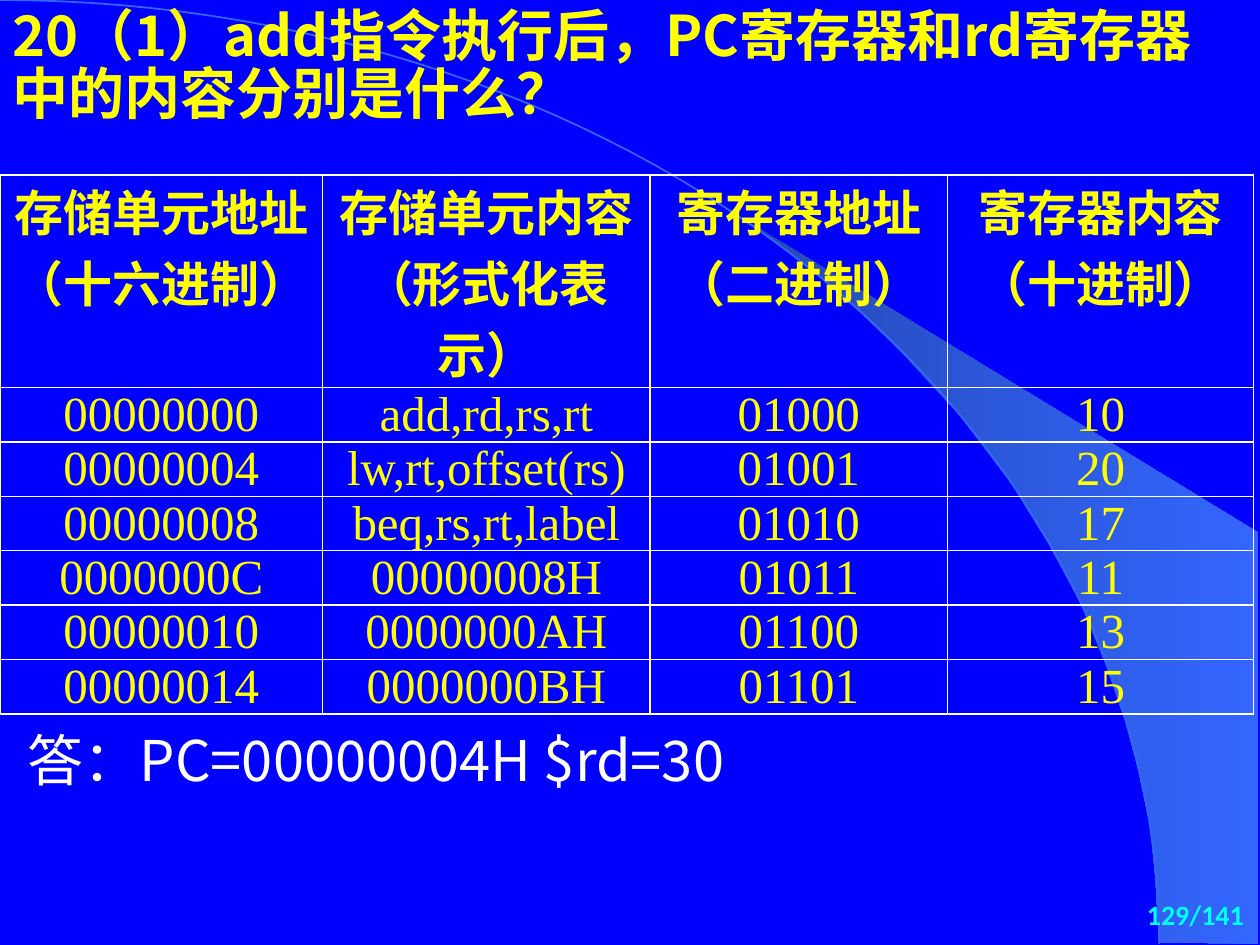
from math import sin, cos, pi
from pptx import Presentation
from pptx.util import Inches, Pt
from pptx.dml.color import RGBColor
from pptx.enum.text import PP_ALIGN as Align
from pptx.oxml import parse_xml
from pptx.oxml.ns import nsdecls

YELLOW, WHITE, CYAN = "FFFF00", "FFFFFF", "00FFFF"
BLUE, SKY, DUSK = "0000FF", "3366FF", "2449B6"
SANS, SERIF = "Noto Sans CJK SC", "Times New Roman"

WEDGE = [(9.2, 7.48), (9.99, 7.49), (9.99, 4.23), (5.89, 1.73), (6.24, 1.99),
         (6.53, 2.22), (6.85, 2.5), (7.16, 2.8), (7.62, 3.3), (8.03, 3.84),
         (8.32, 4.31), (8.58, 4.79), (8.78, 5.28), (8.93, 5.72),
         (9.03, 6.09), (9.13, 6.56), (9.17, 6.96)]
COLS = [2.56, 2.6, 2.36, 2.43]
ROWS = [
    ["存储单元地址（十六进制）", "存储单元内容（形式化表示）",
     "寄存器地址\n（二进制）", "寄存器内容\n（十进制）"],
    ["00000000", "add,rd,rs,rt", "01000", "10"],
    ["00000004", "lw,rt,offset(rs)", "01001", "20"],
    ["00000008", "beq,rs,rt,label", "01010", "17"],
    ["0000000C", "00000008H", "01011", "11"],
    ["00000010", "0000000AH", "01100", "13"],
    ["00000014", "0000000BH", "01101", "15"],
]


def color(code):
    return RGBColor.from_string(code)


def style(frame, size, face, code, bold=False, align=Align.LEFT, gap=None):
    for par in frame.paragraphs:
        par.alignment = align
        par.line_spacing = gap
        for run in par.runs:
            font = run.font
            font.size, font.name, font.bold = Pt(size), face, bold
            font.color.rgb = color(code)


def add_text(slide, box, text, *look, **more):
    frame = slide.shapes.add_textbox(*map(Inches, box)).text_frame
    frame.word_wrap = True
    frame.text = text
    style(frame, *look, **more)


def outline(slide, points, close):
    pen = slide.shapes.build_freeform(*map(Inches, points[0]), scale=1.0)
    pen.add_line_segments([(Inches(x), Inches(y)) for x, y in points[1:]],
                          close=close)
    shape = pen.convert_to_shape()
    shape.shadow.inherit = False
    return shape


def add_decor(slide, box):
    # Shaded wedge
    wedge = outline(slide, WEDGE, True)
    wedge.line.fill.background()
    wedge.fill.gradient()
    wedge.fill.gradient_angle = 0
    for stop, code, spot in zip(wedge.fill.gradient_stops, (DUSK, SKY), (0, 1)):
        stop.color.rgb = color(code)
        stop.position = spot
    # Quarter ellipse from the top left corner to the bottom right
    left, top, wide, high = box
    steps = 60
    turns = [pi / 2 * i / steps for i in range(steps + 1)]
    arc = outline(slide, [(left + wide * sin(t), top + high * (1 - cos(t)))
                          for t in turns], False)
    arc.fill.background()
    arc.line.color.rgb = color(SKY)
    arc.line.width = Pt(1)


def add_border(cell):
    props = cell._tc.get_or_add_tcPr()
    for i, side in enumerate(("lnL", "lnR", "lnT", "lnB")):
        props.insert(i, parse_xml(
            f'<a:{side} {nsdecls("a")} w="12700"><a:solidFill>'
            f'<a:srgbClr val="{WHITE}"/></a:solidFill></a:{side}>'))


def add_grid(slide, box, head=1.68):
    left, top, wide, high = box
    table = slide.shapes.add_table(len(ROWS), len(COLS),
                                   *map(Inches, box)).table
    table.first_row = table.horz_banding = False
    for col, size in zip(table.columns, COLS):
        col.width = Inches(size)
    for r, row in enumerate(ROWS):
        size = (high - head) / (len(ROWS) - 1) if r else head
        table.rows[r].height = Inches(size)
        for c, text in enumerate(row):
            cell = table.cell(r, c)
            cell.text = text
            cell.margin_left = cell.margin_right = Inches(0.07)
            cell.margin_top = cell.margin_bottom = 0
            cell.fill.background()
            add_border(cell)
            style(cell.text_frame, 28, SERIF, YELLOW, r == 0, Align.CENTER)


def main():
    deck = Presentation()
    deck.slide_width, deck.slide_height = Inches(10), Inches(7.5)
    slide = deck.slides.add_slide(deck.slide_layouts[6])
    back = slide.background.fill
    back.solid()
    back.fore_color.rgb = color(BLUE)

    add_decor(slide, (0, 0, 9.2, 7.49))
    add_grid(slide, (0, 1.39, 9.95, 4.27))
    # Question, answer and page number
    add_text(slide, (0, 0.04, 9.61, 1.18),
             "20（1）add指令执行后，PC寄存器和rd寄存器中的内容分别是什么？",
             32, SANS, YELLOW, True, gap=0.85)
    add_text(slide, (0.12, 5.79, 7.01, 0.64), "答：PC=00000004H $rd=30",
             32, SANS, WHITE, gap=0.85)
    add_text(slide, (8.79, 7.07, 1.18, 0.39), "129/141",
             16, "Calibri", CYAN, True, Align.RIGHT)
    deck.save("out.pptx")


if __name__ == "__main__":
    main()
